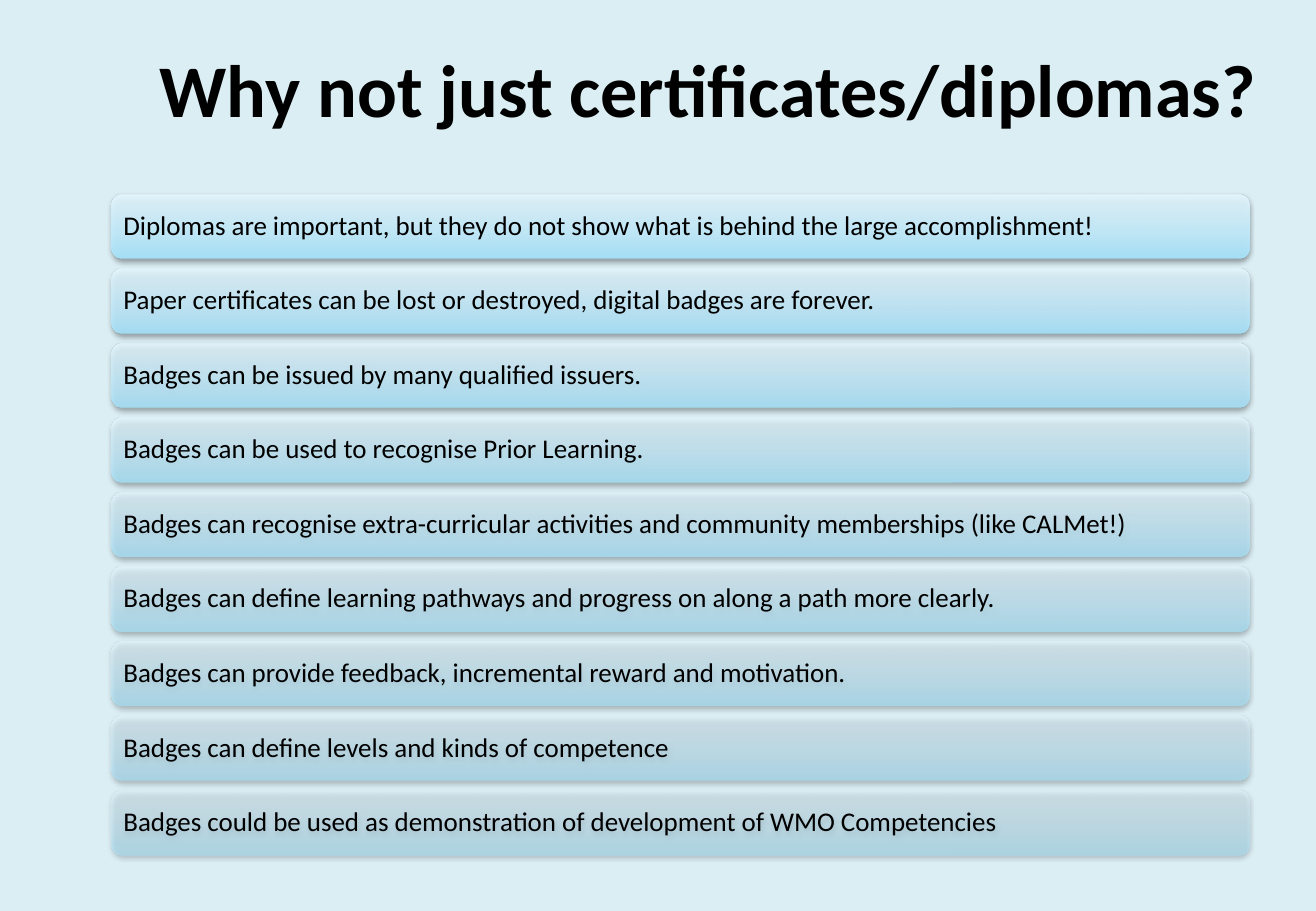
from lxml.etree import SubElement
from pptx import Presentation
from pptx.dml.color import RGBColor
from pptx.enum.shapes import MSO_SHAPE as Shape
from pptx.enum.text import MSO_ANCHOR as Anchor, MSO_AUTO_SIZE as AutoSize, PP_ALIGN as Align
from pptx.oxml.ns import qn
from pptx.util import Inches, Pt

WIDTH, HEIGHT = 10.83, 7.5
FONT = "Calibri"
INK = "000000"
BACKGROUND = "DBEEF4"
GRADIENT = [(0, "A7E6FF"), (35, "C1EDFF"), (100, "E7F8FF")]
TITLE = "Why not just certificates/diplomas?"
REASONS = [
    "Diplomas are important, but they do not show what is behind the large accomplishment!",
    "Paper certificates can be lost or destroyed, digital badges are forever.",
    "Badges can be issued by many qualified issuers.",
    "Badges can be used to recognise Prior Learning.",
    "Badges can recognise extra-curricular activities and community memberships (like CALMet!)",
    "Badges can define learning pathways and progress on along a path more clearly.",
    "Badges can provide feedback, incremental reward and motivation.",
    "Badges can define levels and kinds of competence",
    "Badges could be used as demonstration of development of WMO Competencies",
]
BAR_LEFT, BAR_WIDTH, BAR_HEIGHT = 0.92, 9.36, 0.53
FIRST_TOP, LAST_TOP = 1.6, 6.51
ROW_PITCH = (LAST_TOP - FIRST_TOP) / (len(REASONS) - 1)
FIRST_OPACITY, OPACITY_STEP = 90, 5


def color(value):
    return RGBColor.from_string(value)


def write(shape, text, size, align, bold=False):
    frame = shape.text_frame
    frame.word_wrap = True
    frame.text = text
    para = frame.paragraphs[0]
    para.alignment = align
    font = para.runs[0].font
    font.name, font.size, font.bold = FONT, Pt(size), bold
    font.color.rgb = color(INK)
    return para


def add_color(parent, value, opacity):
    node = SubElement(parent, qn("a:srgbClr"), val=value)
    SubElement(node, qn("a:alpha"), val=str(opacity * 1000))


def paint_gradient(shape, opacity):
    shape.fill.gradient()
    shape.fill.gradient_angle = 90
    stops = shape._element.spPr.find(".//" + qn("a:gsLst"))
    for stop in list(stops):
        stops.remove(stop)
    for position, value in GRADIENT:
        stop = SubElement(stops, qn("a:gs"), pos=str(position * 1000))
        add_color(stop, value, opacity)


def cast_shadow(shape):
    shape.shadow.inherit = False
    effects = shape._element.spPr.find(qn("a:effectLst"))
    shadow = SubElement(effects, qn("a:outerShdw"), blurRad=str(Pt(3.15)),
                        dist=str(Pt(1.57)), dir="5400000", rotWithShape="0")
    add_color(shadow, INK, 38)


def add_title(page):
    box = page.shapes.add_textbox(Inches(0.21), Inches(0.31), Inches(10.24), Inches(0.84))
    write(box, TITLE, 44, Align.RIGHT, bold=True)
    box.text_frame.auto_size = AutoSize.SHAPE_TO_FIT_TEXT


def add_reason(page, row, text):
    bar = page.shapes.add_shape(
        Shape.ROUNDED_RECTANGLE, Inches(BAR_LEFT), Inches(FIRST_TOP + row * ROW_PITCH),
        Inches(BAR_WIDTH), Inches(BAR_HEIGHT))
    paint_gradient(bar, FIRST_OPACITY - row * OPACITY_STEP)
    bar.line.fill.background()
    cast_shadow(bar)
    para = write(bar, text, 16, Align.LEFT)
    para.line_spacing = 0.9
    frame = bar.text_frame
    frame.vertical_anchor = Anchor.MIDDLE
    frame.margin_left = frame.margin_right = Inches(0.07)
    frame.margin_top = frame.margin_bottom = Inches(0.07)


def main():
    deck = Presentation()
    deck.slide_width, deck.slide_height = Inches(WIDTH), Inches(HEIGHT)
    page = deck.slides.add_slide(deck.slide_layouts[6])
    page.background.fill.solid()
    page.background.fill.fore_color.rgb = color(BACKGROUND)
    add_title(page)
    for row, text in enumerate(REASONS):
        add_reason(page, row, text)
    deck.save("out.pptx")


if __name__ == "__main__":
    main()
